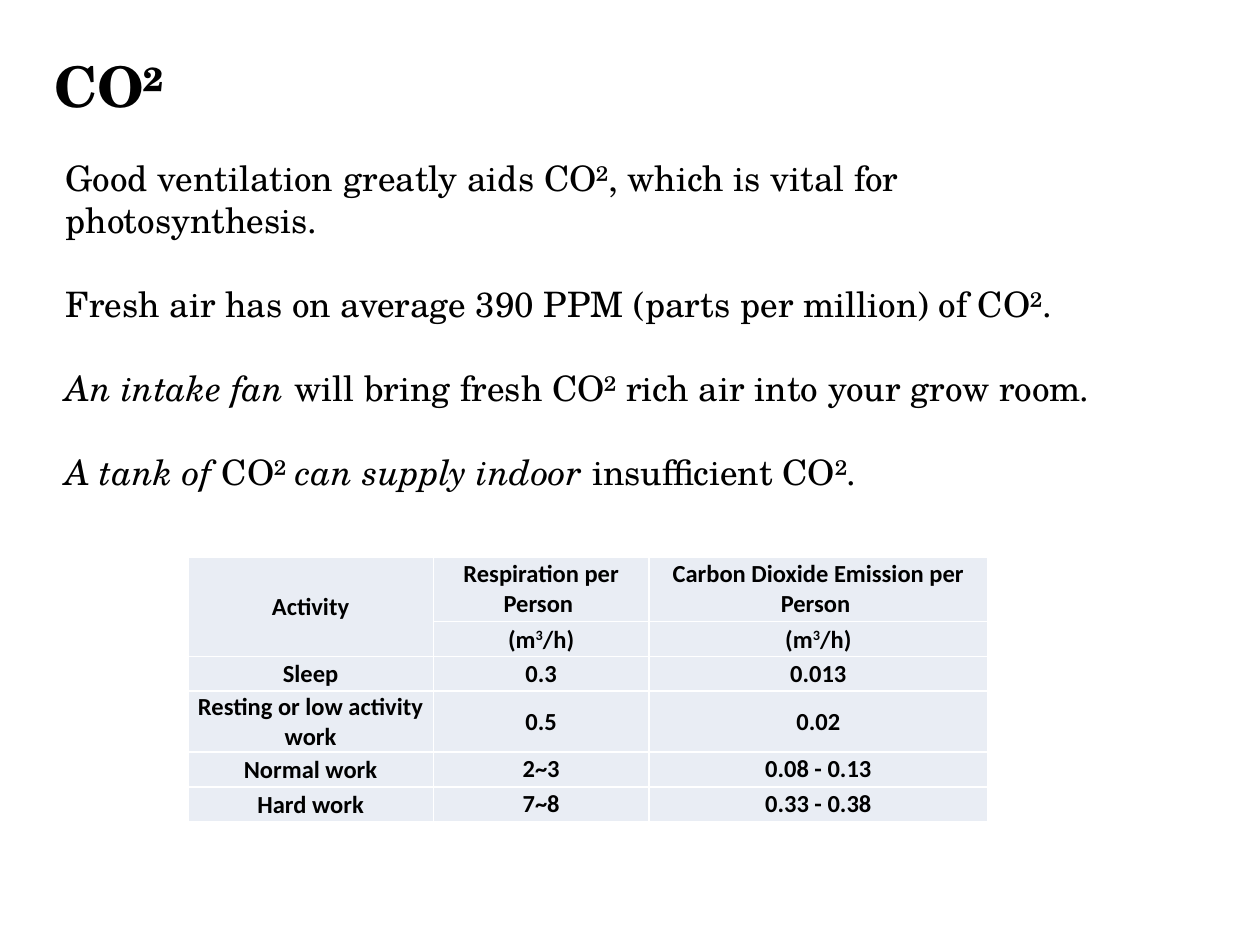
import pptx
import pptx.util
import pptx.dml.color
import pptx.enum.text
import pptx.oxml
import pptx.oxml.ns

Inches = pptx.util.Inches
Pt = pptx.util.Pt
Text = pptx.enum.text
SERIF, SANS = "TeX Gyre Schola", "Calibri"


def color(code):
    return pptx.dml.color.RGBColor.from_string(code)


class Deck:
    ink, fill, rule = "000000", "E9EDF4", "FFFFFF"

    def __init__(self):
        self.prs = pptx.Presentation()
        self.prs.slide_width, self.prs.slide_height = Inches(10), Inches(7.5)
        self.slide = self.prs.slides.add_slide(self.prs.slide_layouts[1])

    def run(self, para, text, font, size, bold=False, italic=False):
        run = para.add_run()
        run.text = text
        run.font.name, run.font.size = font, Pt(size)
        run.font.bold, run.font.italic = bold, italic
        run.font.color.rgb = color(self.ink)
        return run

    def place(self, shape, left, top, width, height):
        shape.left, shape.top = Inches(left), Inches(top)
        shape.width, shape.height = Inches(width), Inches(height)
        frame = shape.text_frame
        frame.word_wrap = True
        frame.auto_size = Text.MSO_AUTO_SIZE.NONE
        frame.vertical_anchor = Text.MSO_ANCHOR.TOP
        return frame

    def title(self, text, *box):
        para = self.place(self.slide.shapes.title, *box).paragraphs[0]
        para.alignment = Text.PP_ALIGN.LEFT
        self.run(para, text, SERIF, 32, bold=True)

    def body(self, paras, *box):
        """Fill the body; each paragraph is a list of (text, italic)."""
        frame = self.place(self.slide.placeholders[1], *box)
        for i, parts in enumerate(paras):
            para = frame.paragraphs[0] if i == 0 else frame.add_paragraph()
            para.space_before = Pt(24 if i else 0)
            props = para._p.get_or_add_pPr()
            props.set("marL", "0")
            props.set("indent", "0")
            props.append(props.makeelement(pptx.oxml.ns.qn("a:buNone"), {}))
            for text, italic in parts:
                self.run(para, text, SERIF, 20, italic=italic)

    def border(self, cell):
        props = cell._tc.get_or_add_tcPr()
        for i, side in enumerate(("lnL", "lnR", "lnT", "lnB")):
            props.insert(i, pptx.oxml.parse_xml(
                f'<a:{side} {pptx.oxml.ns.nsdecls("a")} w="12700"><a:solidFill>'
                f'<a:srgbClr val="{self.rule}"/></a:solidFill></a:{side}>'))

    def cell(self, cell, text, tight):
        """Style a cell; ^ marks the start and end of a superscript."""
        cell.fill.solid()
        cell.fill.fore_color.rgb = color(self.fill)
        self.border(cell)
        cell.vertical_anchor = Text.MSO_ANCHOR.MIDDLE
        cell.margin_left = cell.margin_right = Inches(0.01)
        cell.margin_top = Inches(0.01 if tight else 0.02)
        cell.margin_bottom = Inches(0 if tight else 0.02)
        para = cell.text_frame.paragraphs[0]
        para.alignment = Text.PP_ALIGN.CENTER
        for i, part in enumerate(text.split("^") if text else []):
            run = self.run(para, part, SANS, 14, bold=True)
            if i % 2:
                run._r.get_or_add_rPr().set("baseline", "30000")

    def table(self, rows, left, top, widths, heights):
        table = self.slide.shapes.add_table(
            len(rows), len(widths), Inches(left), Inches(top),
            Inches(sum(widths)), Inches(sum(heights))).table
        table.first_row = table.horz_banding = False
        for col, width in zip(table.columns, widths):
            col.width = Inches(width)
        for row, height in zip(table.rows, heights):
            row.height = Inches(height)
        for r, row in enumerate(rows):
            for c, text in enumerate(row):
                tight = r == 1 or (r > 1 and c == 0)
                self.cell(table.cell(r, c), text, tight)
        table.cell(0, 0).merge(table.cell(1, 0))


def main():
    deck = Deck()
    deck.title("CO²", 0.33, 0.36, 9.6, 0.64)
    deck.body([
        [("Good ventilation greatly aids CO², which is vital for photosynthesis.", False)],
        [("Fresh air has on average 390 PPM (parts per million) of CO².", False)],
        [("An intake fan ", True),
         ("will bring fresh CO² rich air into your grow room", False), (".", True)],
        [("A tank of ", True), ("CO²", False),
         (" can supply indoor ", True), ("insufficient CO².", False)],
    ], 0.42, 1.19, 8.5, 3.13)
    deck.table([
        ("Activity", "Respiration per Person ", "Carbon Dioxide Emission per Person "),
        ("", "(m^3^/h)", "(m^3^/h)"),
        ("Sleep", "0.3", "0.013"),
        ("Resting or low activity work", "0.5", "0.02"),
        ("Normal work", "2~3", "0.08 - 0.13"),
        ("Hard work", "7~8", "0.33 - 0.38"),
    ], 1.49, 4.42, (1.95, 1.71, 2.69), (0.22, 0.24, 0.23, 0.23, 0.23, 0.23))
    deck.prs.save("out.pptx")


if __name__ == "__main__":
    main()
